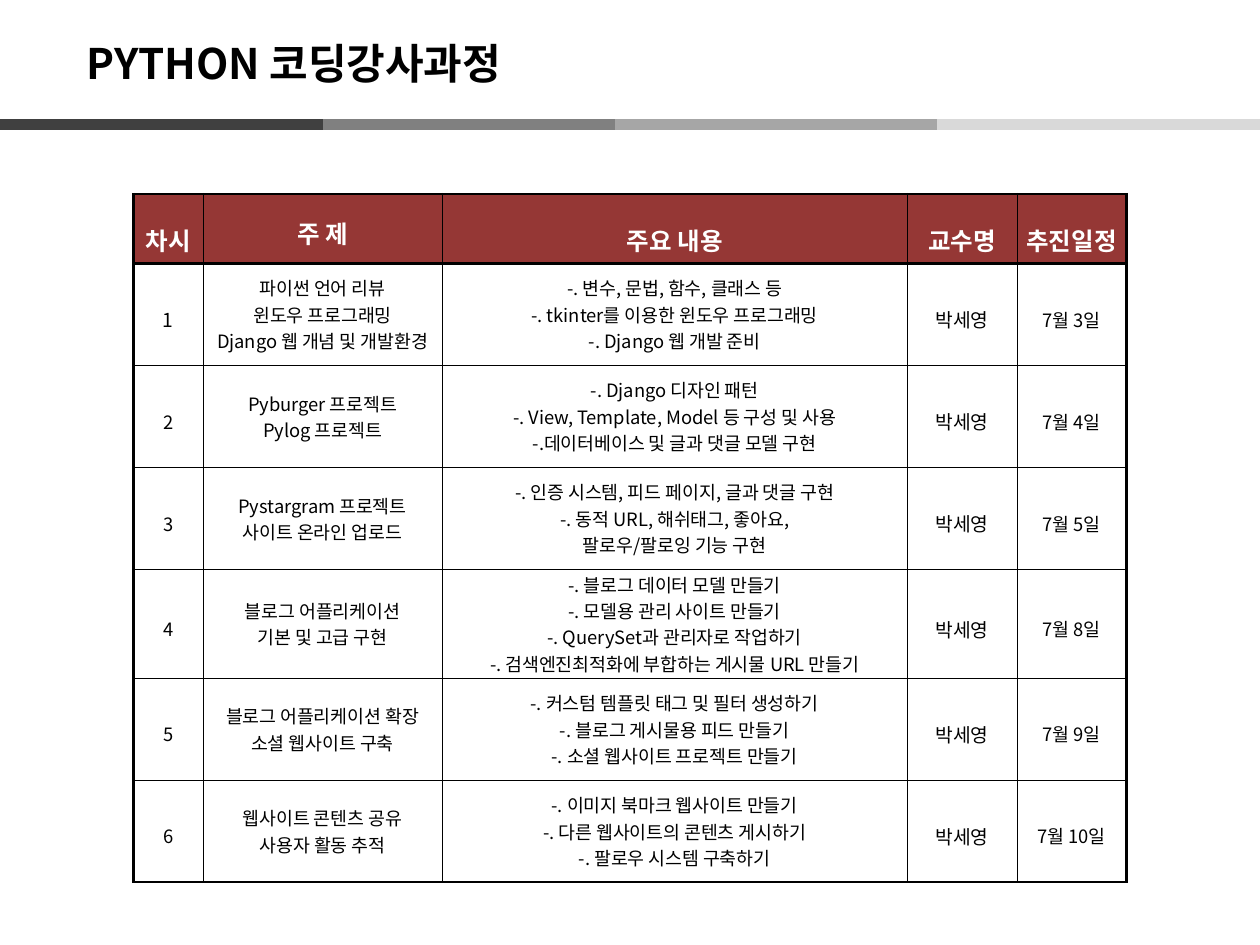
from lxml import etree
from pptx import Presentation
from pptx import util as u
from pptx.dml.color import RGBColor
from pptx.enum import shapes, text
from pptx.oxml import ns

FONT = "Noto Sans CJK KR"
BLACK = RGBColor(0, 0, 0)
WHITE = RGBColor(255, 255, 255)
RED = RGBColor(0x95, 0x37, 0x35)
GRAYS = [RGBColor(v, v, v) for v in (0x80, 0xA6, 0xD9, 0x40)]
THIN, MID, THICK = 0.28, 1, 1.7

HEAD = ["차시", "주 제", "주요 내용", "교수명", "추진일정"]
TUTOR = "박세영"
PLAN = [
    (["파이썬 언어 리뷰", "윈도우 프로그래밍", "Django 웹 개념 및 개발환경"],
     ["-. 변수, 문법, 함수, 클래스 등", "-. tkinter를 이용한 윈도우 프로그래밍",
      "-. Django 웹 개발 준비"], "7월 3일"),
    (["Pyburger 프로젝트", "Pylog 프로젝트"],
     ["-. Django 디자인 패턴", "-. View, Template, Model 등 구성 및 사용",
      "-.데이터베이스 및 글과 댓글 모델 구현"], "7월 4일"),
    (["Pystargram 프로젝트", "사이트 온라인 업로드"],
     ["-. 인증 시스템, 피드 페이지, 글과 댓글 구현", "-. 동적 URL, 해쉬태그, 좋아요,",
      "팔로우/팔로잉 기능 구현"], "7월 5일"),
    (["블로그 어플리케이션", "기본 및 고급 구현"],
     ["-. 블로그 데이터 모델 만들기", "-. 모델용 관리 사이트 만들기",
      "-. QuerySet과 관리자로 작업하기",
      "-. 검색엔진최적화에 부합하는 게시물 URL 만들기"], "7월 8일"),
    (["블로그 어플리케이션 확장", "소셜 웹사이트 구축"],
     ["-. 커스텀 템플릿 태그 및 필터 생성하기", "-. 블로그 게시물용 피드 만들기",
      "-. 소셜 웹사이트 프로젝트 만들기"], "7월 9일"),
    (["웹사이트 콘텐츠 공유", "사용자 활동 추적"],
     ["-. 이미지 북마크 웹사이트 만들기", "-. 다른 웹사이트의 콘텐츠 게시하기",
      "-. 팔로우 시스템 구축하기"], "7월 10일"),
]


def add_run(para, words, size, color, bold):
    run = para.add_run()
    run.text = words
    font = run.font
    font.name, font.size, font.bold = FONT, u.Pt(size), bold
    font.color.rgb = color
    east = etree.SubElement(font._element, ns.qn("a:ea"))
    east.set("typeface", FONT)


def add_title(slide, left, top, width, height):
    title = slide.shapes.title
    title.left, title.top, title.width, title.height = left, top, width, height
    frame = title.text_frame
    frame.auto_size = text.MSO_AUTO_SIZE.NONE
    frame.vertical_anchor = text.MSO_ANCHOR.MIDDLE
    para = frame.paragraphs[0]
    para.alignment = text.PP_ALIGN.LEFT
    add_run(para, "PYTHON 코딩강사과정", 24, BLACK, True)


def add_stripe(slide, left, top, width):
    part = u.Inches(2.56)
    first = left + width - 3 * part
    starts = [first + i * part for i in range(3)] + [left]
    for start, gray in zip(starts, GRAYS):
        line = slide.shapes.add_connector(
            shapes.MSO_CONNECTOR.STRAIGHT, start, top, start + part, top)
        line.line.color.rgb = gray
        line.line.width = u.Pt(6)
        etree.SubElement(line._element.spPr, ns.qn("a:effectLst"))


def set_edges(cell, edges):
    props = cell._tc.get_or_add_tcPr()
    for side, width in zip("LRTB", edges):
        line = etree.SubElement(props, ns.qn("a:ln" + side), w=str(u.Pt(width)))
        fill = etree.SubElement(line, ns.qn("a:solidFill"))
        etree.SubElement(fill, ns.qn("a:srgbClr"), val=str(BLACK))


def fill_cell(cell, lines, size, space, head, edges):
    set_edges(cell, edges)
    cell.fill.solid()
    cell.fill.fore_color.rgb = RED if head else WHITE
    cell.vertical_anchor = text.MSO_ANCHOR.MIDDLE
    cell.margin_left = cell.margin_right = u.Inches(0.01)
    cell.margin_top = cell.margin_bottom = u.Inches(0.01)
    frame = cell.text_frame
    for i, words in enumerate(lines):
        para = frame.add_paragraph() if i else frame.paragraphs[0]
        para.alignment = text.PP_ALIGN.CENTER
        para.line_spacing = space
        add_run(para, words, size, WHITE if head else BLACK, head)


def add_plan(slide, left, top, width, height):
    rows = [[[name] for name in HEAD]]
    for i, (theme, topics, day) in enumerate(PLAN, 1):
        rows.append([[str(i)], theme, topics, [TUTOR], [day]])
    table = slide.shapes.add_table(
        len(rows), len(HEAD), left, top, width, height).table
    table.first_row = table.horz_banding = False
    for col, wide in zip(table.columns, (0.55, 1.9, 3.69, 0.87, 0.87)):
        col.width = u.Inches(wide)
    last = len(rows) - 1
    end = len(HEAD) - 1
    for r, row in enumerate(rows):
        head = r == 0
        table.rows[r].height = u.Inches(0.55 if head else 0.81)
        for c, lines in enumerate(row):
            edges = (THICK if c == 0 else THIN,
                     THICK if c == end else THIN,
                     THICK if r < 2 else THIN,
                     THICK if head else MID if r == last else THIN)
            if head:
                size, space = 14, 1.2 if c == 1 else 1.6
            else:
                size = 11 if c == 3 or (r, c) == (1, 0) else 10.5
                space = 1.0 if c in (1, 2) else 1.35
            fill_cell(table.cell(r, c), lines, size, space, head, edges)


def main():
    deck = Presentation()
    deck.slide_width, deck.slide_height = u.Inches(10), u.Inches(7.5)
    slide = deck.slides.add_slide(deck.slide_layouts[5])
    add_stripe(slide, 0, u.Inches(0.99), deck.slide_width)
    add_title(slide, u.Inches(0.59), u.Inches(0.2), u.Inches(7.48), u.Inches(0.6))
    add_plan(slide, u.Inches(1.06), u.Inches(1.54), u.Inches(7.88), u.Inches(5.41))
    deck.save("out.pptx")


if __name__ == "__main__":
    main()
